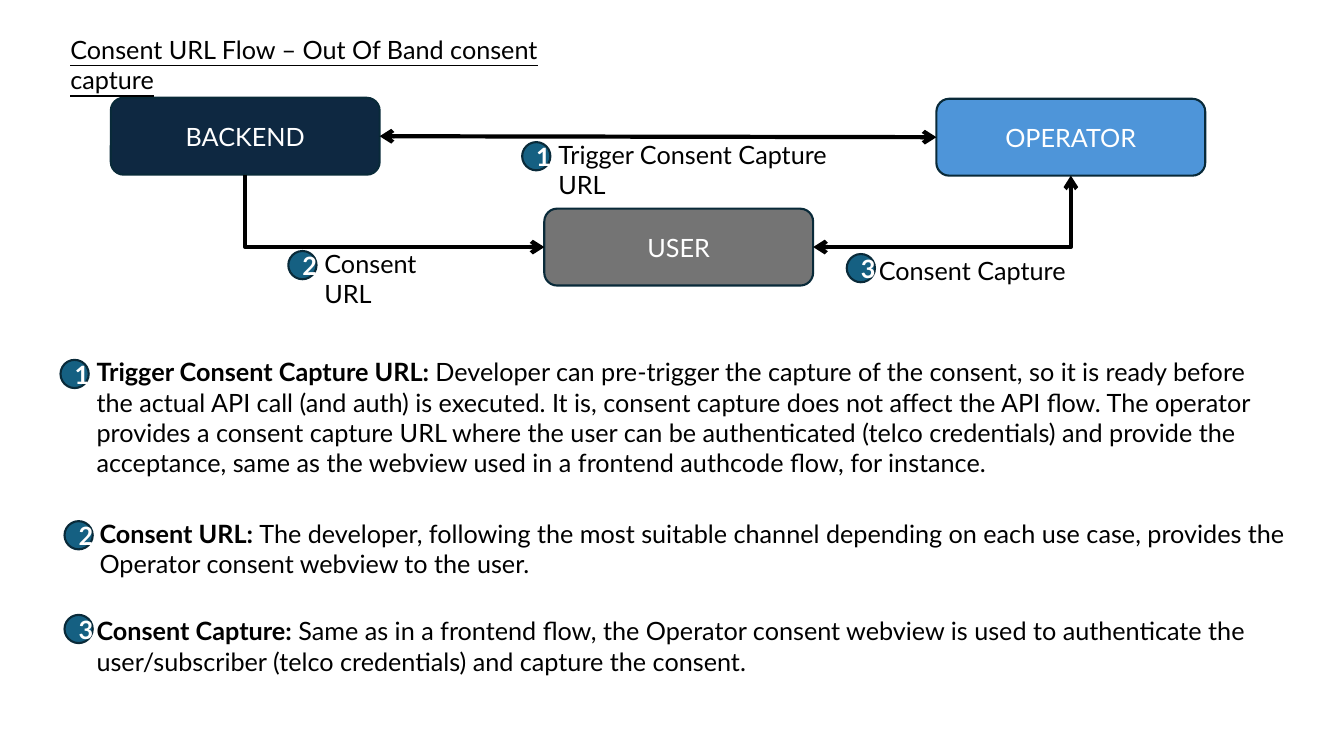
from dataclasses import dataclass

from lxml import etree
from pptx import Presentation
from pptx import util as u
from pptx.dml.color import RGBColor
from pptx.enum import shapes, text
from pptx.oxml import ns

COLUMNS, ROWS = 40, 30
BOX_SIZE = (8, 3.05)
BADGE_SIZE = (0.84, 1.12)
TOP, LEFT, BOTTOM, RIGHT = range(4)


@dataclass(frozen=True)
class Theme:
    font: str = "Lato"
    size: int = 18
    ink: str = "000000"
    light: str = "FFFFFF"
    outline: str = "092A39"
    badge: str = "156082"
    backend: str = "0E2841"
    operator: str = "4E95D9"
    user: str = "747474"
    outline_width: float = 1.5
    arrow_width: float = 3


def write_text(frame, content, *, theme, color, bold=False, underline=False,
               align=text.PP_ALIGN.LEFT, lead=""):
    """Fill a frame with one paragraph, with an optional bold lead-in."""
    para = frame.paragraphs[0]
    para.alignment = align
    for words, heavy in ((lead, True), (content, bold)):
        if not words:
            continue
        span = para.add_run()
        span.text = words
        span.font.name = theme.font
        span.font.size = u.Pt(theme.size)
        span.font.bold = heavy
        span.font.underline = underline
        span.font.color.rgb = RGBColor.from_string(color)


class FlowPage:
    """Draws on one slide, with lengths in grid columns and rows."""

    def __init__(self, deck, theme):
        self.theme = theme
        self.column = deck.slide_width / COLUMNS
        self.row = deck.slide_height / ROWS
        self.page = deck.slides.add_slide(deck.slide_layouts[6])

    def place(self, left, top, width, height):
        return (round(left * self.column), round(top * self.row),
                round(width * self.column), round(height * self.row))

    def shape(self, kind, label, left, top, size, fill, bold=False):
        shape = self.page.shapes.add_shape(kind, *self.place(left, top, *size))
        shape.shadow.inherit = False
        shape.fill.solid()
        shape.fill.fore_color.rgb = RGBColor.from_string(fill)
        shape.line.color.rgb = RGBColor.from_string(self.theme.outline)
        shape.line.width = u.Pt(self.theme.outline_width)
        shape.text_frame.vertical_anchor = text.MSO_ANCHOR.MIDDLE
        write_text(shape.text_frame, label, theme=self.theme, bold=bold,
                   color=self.theme.light, align=text.PP_ALIGN.CENTER)
        return shape

    def party(self, label, left, top, fill):
        return self.shape(shapes.MSO_SHAPE.ROUNDED_RECTANGLE, label, left, top,
                          BOX_SIZE, fill)

    def badge(self, number, left, top):
        return self.shape(shapes.MSO_SHAPE.OVAL, str(number), left, top,
                          BADGE_SIZE, self.theme.badge, bold=True)

    def text(self, content, left, top, width, height=1.6, **style):
        box = self.page.shapes.add_textbox(*self.place(left, top, width, height))
        box.text_frame.word_wrap = True
        box.text_frame.auto_size = text.MSO_AUTO_SIZE.SHAPE_TO_FIT_TEXT
        write_text(box.text_frame, content, theme=self.theme,
                   color=self.theme.ink, **style)
        return box

    def arrow(self, start, start_side, end, end_side, ends,
              kind=shapes.MSO_CONNECTOR.STRAIGHT):
        arrow = self.page.shapes.add_connector(kind, 0, 0, 0, 0)
        arrow.begin_connect(start, start_side)
        arrow.end_connect(end, end_side)
        arrow.line.color.rgb = RGBColor.from_string(self.theme.ink)
        arrow.line.width = u.Pt(self.theme.arrow_width)
        line = arrow.line._get_or_add_ln()
        for tag in ends:
            etree.SubElement(line, ns.qn(f"a:{tag}"), type="arrow")
        etree.SubElement(arrow.element.spPr, ns.qn("a:effectLst"))
        return arrow

    def corner_arrow(self, start, end, end_side, ends):
        """Run down from the start box, then sideways into the end box."""
        arrow = self.arrow(start, BOTTOM, end, end_side, ends,
                           shapes.MSO_CONNECTOR.ELBOW)
        rightward = arrow.end_x > arrow.begin_x
        middle_x = (arrow.begin_x + arrow.end_x) // 2
        middle_y = (arrow.begin_y + arrow.end_y) // 2
        # A quarter turn swaps the width and the height
        width, height = arrow.height, arrow.width
        arrow.left, arrow.top = middle_x - width // 2, middle_y - height // 2
        arrow.width, arrow.height = width, height
        frame = arrow.element.spPr.find(ns.qn("a:xfrm"))
        frame.set("rot", str((270 if rightward else 90) * 60000))
        frame.set("flipH", "1" if rightward else "0")
        frame.set("flipV", "0")
        arrow.element.spPr.find(ns.qn("a:prstGeom")).set("prst", "bentConnector2")


def main():
    deck = Presentation()
    deck.slide_width, deck.slide_height = u.Inches(13.33), u.Inches(7.5)
    theme = Theme()
    flow = FlowPage(deck, theme)

    # Parties
    backend = flow.party("BACKEND", 3.3, 3.88, theme.backend)
    operator = flow.party("OPERATOR", 27.87, 3.92, theme.operator)
    user = flow.party("USER", 16.2, 8.28, theme.user)

    # Arrows between the parties
    both = ("headEnd", "tailEnd")
    flow.arrow(backend, RIGHT, operator, LEFT, both)
    flow.corner_arrow(backend, user, LEFT, ("tailEnd",))
    flow.corner_arrow(operator, user, RIGHT, both)

    # Title
    flow.text("Consent URL Flow – Out Of Band consent capture",
              1.8, 1.16, 16.62, underline=True)

    # Numbered arrow labels: text, text place and width, badge place
    labels = (
        ("Trigger Consent Capture URL", (16.32, 5.32, 10.02), (15.54, 5.64)),
        ("Consent URL", (9.36, 9.64, 4.8), (8.58, 9.96)),
        ("Consent Capture", (25.86, 9.92, 6.3), (25.2, 10.08)),
    )
    for number, (label, place, badge_place) in enumerate(labels, 1):
        flow.text(label, *place)
        flow.badge(number, *badge_place)

    # Numbered explanations: lead-in, text, text place and size, badge place
    notes = (
        ("Trigger Consent Capture URL: ",
         "Developer can pre-trigger the capture of the consent, so it is ready "
         "before the actual API call (and auth) is executed. It is, consent "
         "capture does not affect the API flow. The operator provides a consent "
         "capture URL where the user can be authenticated (telco credentials) "
         "and provide the acceptance, same as the webview used in a frontend "
         "authcode flow, for instance.",
         (2.58, 13.96, 36, 5.24), (1.8, 14.28)),
        ("Consent URL: ",
         "The developer, following the most suitable channel depending on each "
         "use case, provides the Operator consent webview to the user.",
         (2.67, 20.36, 36, 2.84), (1.92, 20.68)),
        ("Consent Capture:",
         " Same as in a frontend flow, the Operator consent webview is used to "
         "authenticate the user/subscriber (telco credentials) and capture the "
         "consent.",
         (2.58, 24.24, 36, 2.84), (1.92, 24.4)),
    )
    for number, (lead, content, place, badge_place) in enumerate(notes, 1):
        flow.text(content, *place, lead=lead)
        flow.badge(number, *badge_place)

    deck.save("out.pptx")


if __name__ == "__main__":
    main()
